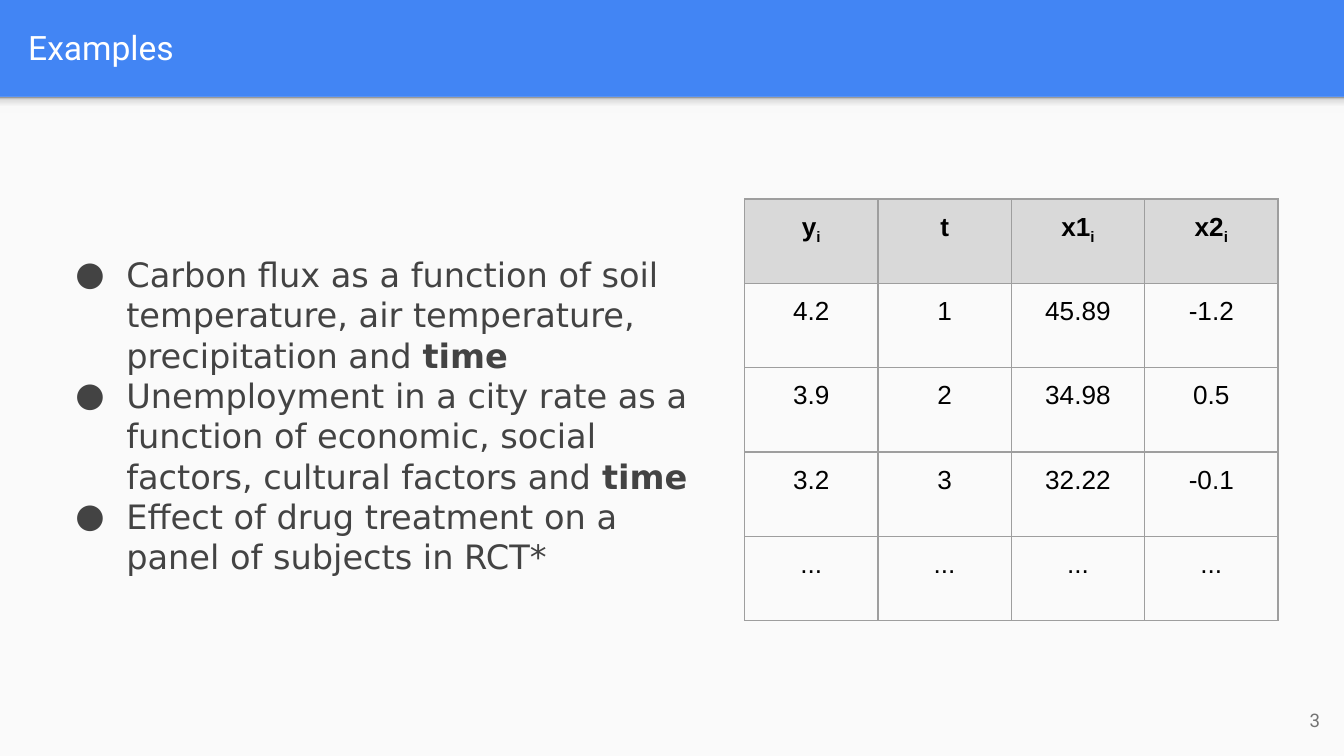
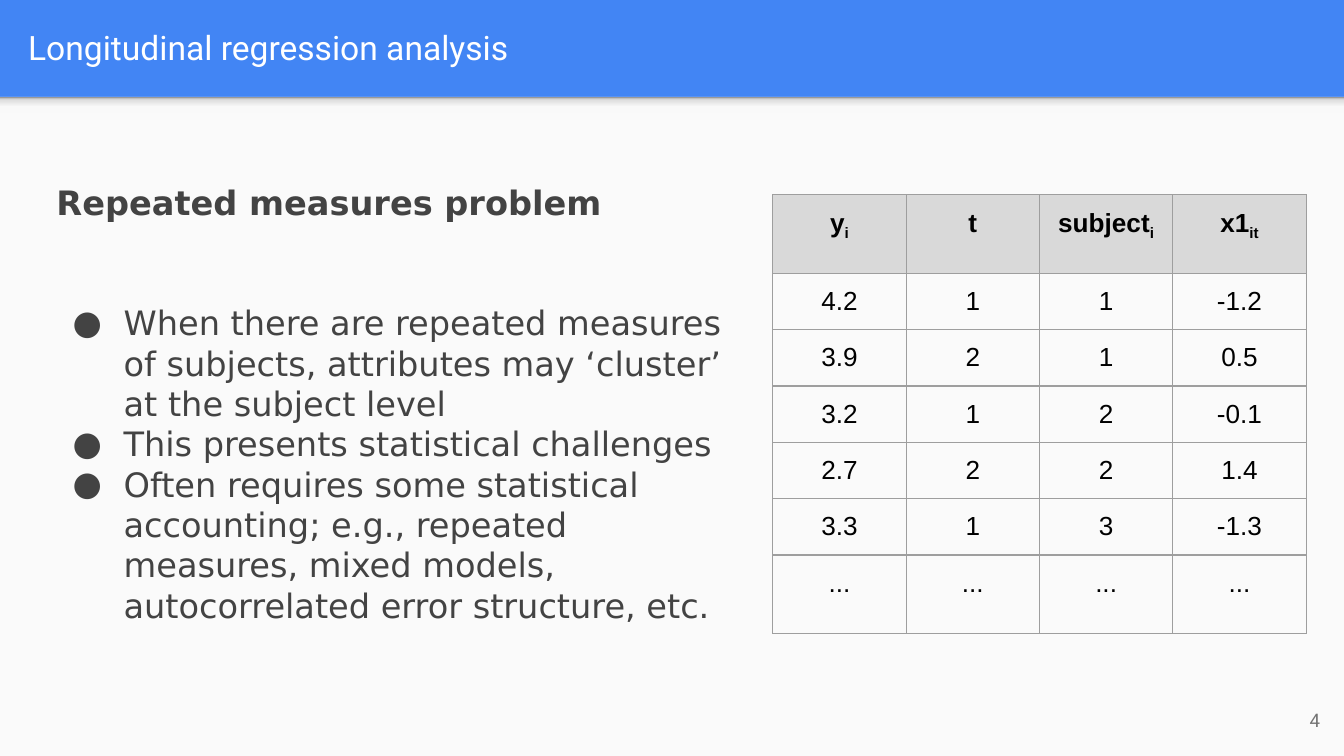
from dataclasses import dataclass
from lxml import etree
from pptx import Presentation
from pptx.dml.color import RGBColor
from pptx.enum.shapes import MSO_SHAPE
from pptx.enum.text import MSO_ANCHOR, MSO_AUTO_SIZE, PP_ALIGN
from pptx.oxml.ns import qn
from pptx.util import Inches, Pt

RECT = MSO_SHAPE.RECTANGLE
MIDDLE, TOP = MSO_ANCHOR.MIDDLE, MSO_ANCHOR.TOP
LEFT, CENTER, RIGHT = PP_ALIGN.LEFT, PP_ALIGN.CENTER, PP_ALIGN.RIGHT
NO_FIT = MSO_AUTO_SIZE.NONE


@dataclass(frozen=True)
class Theme:
    blue: str = "4285F4"
    panel: str = "FAFAFA"
    white: str = "FFFFFF"
    ink: str = "434343"
    black: str = "000000"
    muted: str = "737373"
    head: str = "D9D9D9"
    rule: str = "9E9E9E"
    shade: tuple = ((0, "F9F9F9"), (36, "F9F9F9"), (80, "DEDEDE"), (100, "999999"))
    title: tuple = ("Roboto", 18)
    body: tuple = ("DejaVu Sans", 18)
    cell: tuple = ("Arial", 14)
    page: tuple = ("Roboto", 10)
    lead: float = 21.6


T = Theme()

# The slide is a grid of 100 columns and 100 rows.
WIDE = Inches(10)
HIGH = WIDE * 9 // 16
COL, ROW = WIDE / 100, HIGH / 100
BAND = 12.8
PAD = Inches(0.1)


def area(left, top, width, height):
    """Turn grid columns and rows into slide lengths."""
    return [round(n) for n in (left * COL, top * ROW, width * COL, height * ROW)]


def add_run(para, text, face, color, bold=False, sub=False):
    run = para.add_run()
    run.text = text
    font = run.font
    font.name, font.size = face[0], Pt(face[1])
    font.bold = bold
    font.color.rgb = RGBColor.from_string(color)
    if sub:
        run._r.get_or_add_rPr().set("baseline", "-25000")


# A second part is bold in a point and a subscript in a table head.
SLIDES = [
    dict(
        title="Examples", page="3", lead_in=None,
        body=(3.4, 32.71, 50.1, 46.22),
        points=[
            ("Carbon flux as a function of soil temperature, air temperature, "
             "precipitation and ", "time"),
            ("Unemployment in a city rate as a function of economic, social "
             "factors, cultural factors and ", "time"),
            ("Effect of drug treatment on a panel of subjects in RCT*",),
        ],
        table=(55.4, 26.31), rows=[11.17] * 5,
        heads=[("y", "i"), ("t",), ("x1", "i"), ("x2", "i")],
        data=["4.2 1 45.89 -1.2", "3.9 2 34.98 0.5", "3.2 3 32.22 -0.1",
              "... ... ... ..."],
    ),
    dict(
        title="Longitudinal regression analysis", page="4",
        lead_in="Repeated measures problem",
        body=(3.2, 23.11, 52.8, 68.27),
        points=[
            ("When there are repeated measures of subjects, attributes may "
             "‘cluster’ at the subject level",),
            ("This presents statistical challenges",),
            ("Often requires some statistical accounting; e.g., repeated "
             "measures, mixed models, autocorrelated error structure, etc.",),
        ],
        table=(57.5, 25.78), rows=[10.4] + [7.41] * 5 + [10.4],
        heads=[("y", "i"), ("t",), ("subject", "i"), ("x1", "it")],
        data=["4.2 1 1 -1.2", "3.9 2 1 0.5", "3.2 1 2 -0.1", "2.7 2 2 1.4",
              "3.3 1 3 -1.3", "... ... ... ..."],
    ),
]

prs = Presentation()
prs.slide_width, prs.slide_height = WIDE, HIGH
back = prs.slide_master.background.fill
back.solid()
back.fore_color.rgb = RGBColor.from_string(T.blue)

for page in SLIDES:
    slide = prs.slides.add_slide(prs.slide_layouts[1])
    shapes = slide.shapes
    title, body = shapes.title, slide.placeholders[1]

    # White panel and the shade under the title band
    panel = shapes.add_shape(RECT, *area(0, BAND, 100, 100 - BAND))
    panel.fill.solid()
    panel.fill.fore_color.rgb = RGBColor.from_string(T.panel)
    shade = shapes.add_shape(RECT, *area(0, BAND, 100, 2.13))
    shade.fill.gradient()
    shade.fill.gradient_angle = 90
    stops = shade.element.spPr.find(".//" + qn("a:gsLst"))
    for stop in list(stops):
        stops.remove(stop)
    for pos, color in T.shade:
        stop = etree.SubElement(stops, qn("a:gs"), pos=str(pos * 1000))
        etree.SubElement(stop, qn("a:srgbClr"), val=color)
    for shape in (panel, shade):
        shape.line.fill.background()
        shape.shadow.inherit = False
    # Text placeholders stand in front of the panel
    tree = panel.element.getparent()
    for shape in (title, body):
        tree.append(shape.element)

    # Text frames
    number = shapes.add_textbox(*area(93.2, 91.38, 6, 7.64))
    title_box, body_box = area(1.1, 0.36, 97.6, 11.73), area(*page["body"])
    for shape, box in ((title, title_box), (body, body_box)):
        shape.left, shape.top, shape.width, shape.height = box
    for shape, anchor, inset in ((title, MIDDLE, PAD), (number, MIDDLE, PAD),
                                 (body, TOP, PAD // 2)):
        frame = shape.text_frame
        frame.word_wrap, frame.auto_size = True, NO_FIT
        frame.vertical_anchor = anchor
        frame.margin_left = frame.margin_right = PAD
        frame.margin_top = frame.margin_bottom = inset
    for shape, text, face, color, align in (
            (title, page["title"], T.title, T.white, LEFT),
            (number, page["page"], T.page, T.muted, RIGHT)):
        para = shape.text_frame.paragraphs[0]
        para.alignment = align
        add_run(para, text, face, color)

    # Body list, with an optional heading
    items = [(point, True) for point in page["points"]]
    if page["lead_in"]:
        items.insert(0, (("", page["lead_in"]), False))
    frame = body.text_frame
    for i, (parts, listed) in enumerate(items):
        para = frame.paragraphs[0] if i == 0 else frame.add_paragraph()
        para.alignment = LEFT
        para.line_spacing = Pt(T.lead)
        para.space_before = Pt(0)
        para.space_after = Pt(0 if listed else 2 * T.lead)
        props = para._p.get_or_add_pPr()
        props.set("marL", str(Inches(0.5) if listed else 0))
        props.set("indent", str(Inches(-0.38) if listed else 0))
        if listed:
            tint = etree.SubElement(props, qn("a:buClr"))
            etree.SubElement(tint, qn("a:srgbClr"), val=T.ink)
            etree.SubElement(props, qn("a:buFont"), typeface=T.body[0])
            etree.SubElement(props, qn("a:buChar"), char="●")
        else:
            etree.SubElement(props, qn("a:buNone"))
        for j, text in enumerate(parts):
            if text:
                add_run(para, text, T.body, T.ink, bold=j == 1)

    # Table
    lines = [page["heads"]] + [[(v,) for v in row.split()] for row in page["data"]]
    box = area(*page["table"], 39.7, sum(page["rows"]))
    table = shapes.add_table(len(lines), len(page["heads"]), *box).table
    table.first_row = table.horz_banding = False
    for row, height in zip(table.rows, page["rows"]):
        row.height = round(height * ROW)
    for r, line in enumerate(lines):
        for c, parts in enumerate(line):
            cell = table.cell(r, c)
            cell.margin_left = cell.margin_right = PAD
            cell.margin_top = cell.margin_bottom = PAD
            props = cell._tc.get_or_add_tcPr()
            for side in ("lnL", "lnR", "lnT", "lnB"):
                edge = etree.SubElement(props, qn("a:" + side), w=str(Pt(0.75)))
                ink = etree.SubElement(edge, qn("a:solidFill"))
                etree.SubElement(ink, qn("a:srgbClr"), val=T.rule)
            if r == 0:
                cell.fill.solid()
                cell.fill.fore_color.rgb = RGBColor.from_string(T.head)
            else:
                cell.fill.background()
            para = cell.text_frame.paragraphs[0]
            para.alignment = CENTER
            for j, text in enumerate(parts):
                add_run(para, text, T.cell, T.black, bold=r == 0, sub=j == 1)

prs.save("out.pptx")
